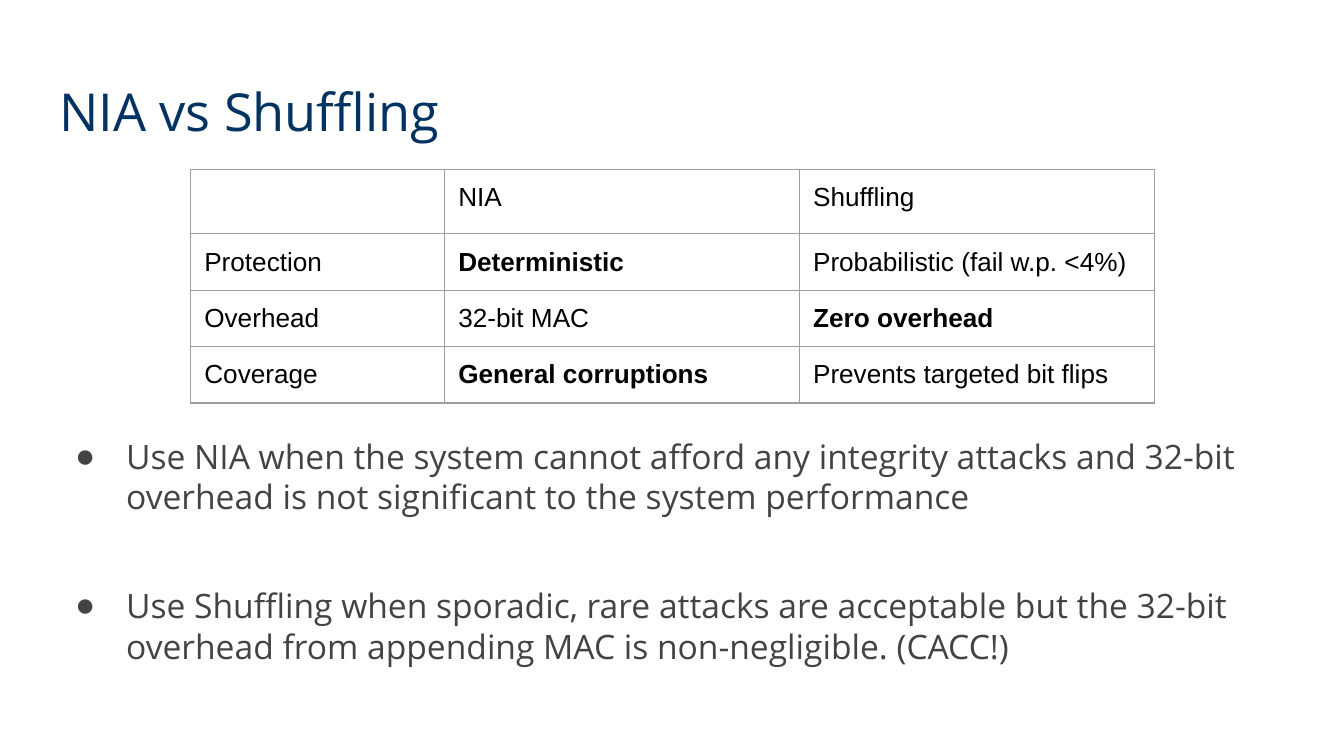
"""Build the slide comparing NIA and Shuffling."""
from lxml import etree
from pptx import Presentation
from pptx.dml.color import RGBColor
from pptx.enum import text
from pptx.oxml.ns import qn
from pptx.util import Inches, Pt


def style(para, size, font, color, bold=False):
    for span in para.runs:
        span.font.size = Pt(size)
        span.font.name = font
        span.font.bold = bold
        span.font.color.rgb = RGBColor.from_string(color)


def add_color(parent, tag, color):
    fill = etree.SubElement(parent, qn(tag))
    etree.SubElement(fill, qn("a:srgbClr"), val=color)


deck = Presentation()
deck.slide_width = Inches(10)
deck.slide_height = deck.slide_width * 9 // 16
page = deck.slides.add_slide(deck.slide_layouts[5])

title = page.shapes.title
title.left, title.top = Inches(0.34), Inches(0.49)
title.width, title.height = Inches(9.32), Inches(0.63)
title.text_frame.text = "NIA vs Shuffling"
heading = title.text_frame.paragraphs[0]
heading.alignment = text.PP_ALIGN.LEFT
style(heading, 28, "Open Sans", "003262")

advice = page.shapes.add_textbox(Inches(0.34), Inches(3.14), Inches(9.32), Inches(1.86))
advice.text_frame.text = (
    "Use NIA when the system cannot afford any integrity attacks and 32-bit "
    "overhead is not significant to the system performance\n"
    "Use Shuffling when sporadic, rare attacks are acceptable but the 32-bit "
    "overhead from appending MAC is non-negligible. (CACC!)"
)
advice.text_frame.paragraphs[1].space_before = Pt(37)
for para in advice.text_frame.paragraphs:
    style(para, 18, "Open Sans", "434343")
    properties = para._p.get_or_add_pPr()
    properties.set("marL", str(Inches(0.5)))
    properties.set("indent", str(Inches(-0.38)))
    add_color(properties, "a:buClr", "434343")
    etree.SubElement(properties, qn("a:buFont"), typeface="Arial")
    etree.SubElement(properties, qn("a:buChar"), char="●")

for box in (title, advice):
    frame = box.text_frame
    frame.word_wrap = True
    frame.auto_size = text.MSO_AUTO_SIZE.NONE
    frame.vertical_anchor = text.MSO_ANCHOR.TOP
    frame.margin_left = frame.margin_right = Inches(0.1)
    frame.margin_top = frame.margin_bottom = Inches(0.1)

rows = [
    ["", "NIA", "Shuffling"],
    ["Protection", "Deterministic", "Probabilistic (fail w.p. <4%)"],
    ["Overhead", "32-bit MAC", "Zero overhead"],
    ["Coverage", "General corruptions", "Prevents targeted bit flips"],
]
strengths = {"Deterministic", "Zero overhead", "General corruptions"}
widths = [1.89, 2.64, 2.64]
heights = [0.48, 0.42, 0.42, 0.42]
table = page.shapes.add_table(
    len(rows), len(widths), Inches(1.42), Inches(1.26),
    Inches(sum(widths)), Inches(sum(heights)),
).table
table.first_row = table.horz_banding = False
for column, width in zip(table.columns, widths):
    column.width = Inches(width)
for row, height, words in zip(table.rows, heights, rows):
    row.height = Inches(height)
    for cell, word in zip(row.cells, words):
        para = cell.text_frame.paragraphs[0]
        if word:
            para.text = word
            style(para, 14, "Arial", "000000", word in strengths)
        else:
            ending = etree.SubElement(para._p, qn("a:endParaRPr"), sz="1400")
            etree.SubElement(ending, qn("a:latin"), typeface="Arial")
        cell.margin_left = cell.margin_right = Inches(0.1)
        cell.margin_top = cell.margin_bottom = Inches(0.1)
        properties = cell._tc.get_or_add_tcPr()
        for side in ("a:lnL", "a:lnR", "a:lnT", "a:lnB"):
            border = etree.SubElement(properties, qn(side), w=str(Pt(0.75)))
            add_color(border, "a:solidFill", "9E9E9E")
        cell.fill.background()

deck.save("out.pptx")
